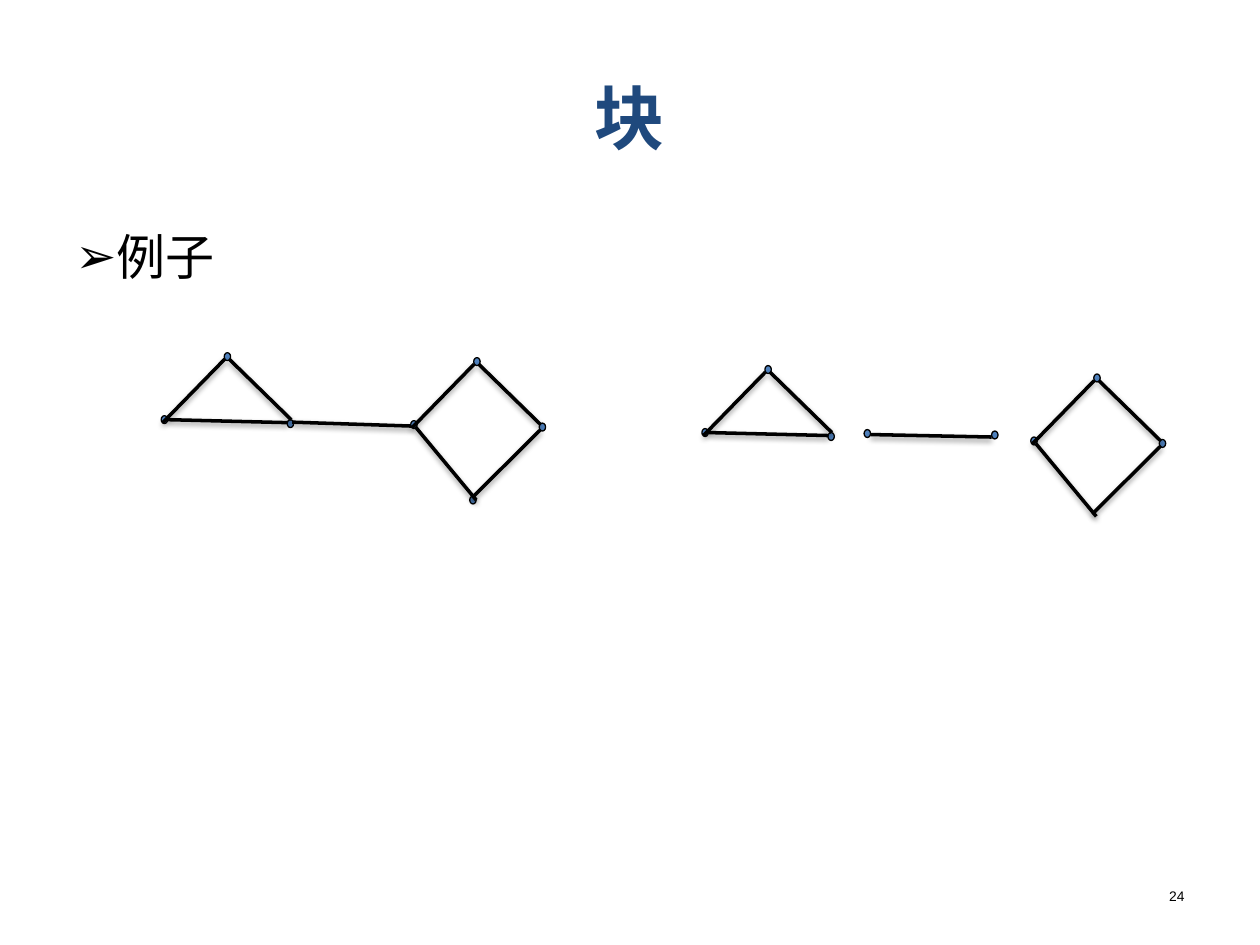
"""Build the slide showing a graph and its separate blocks."""
from lxml import etree
from pptx import Presentation
from pptx import util as u
from pptx.dml.color import RGBColor
from pptx.enum import shapes, text
from pptx.oxml import parse_xml
from pptx.oxml.ns import nsdecls, qn

SHADOW = (
    f'<a:effectLst {nsdecls("a")}>'
    '<a:outerShdw blurRad="40000" dist="20000" dir="5400000" rotWithShape="0">'
    '<a:srgbClr val="000000"><a:alpha val="38000"/></a:srgbClr>'
    '</a:outerShdw></a:effectLst>'
)


def color(target, value):
    target.rgb = RGBColor.from_string(value)


prs = Presentation()
prs.slide_width, prs.slide_height = u.Cm(25.4), u.Cm(19.05)
slide = prs.slides.add_slide(prs.slide_layouts[6])

middle, top = text.MSO_ANCHOR.MIDDLE, text.MSO_ANCHOR.TOP
left, center, right = text.PP_ALIGN.LEFT, text.PP_ALIGN.CENTER, text.PP_ALIGN.RIGHT
wordings = [
    ("块", (1.27, 0.76, 22.86, 3.18), 40, "1F497D", True, center, middle),
    ("例子", (1.27, 4.45, 22.86, 12.57), 28, "000000", False, left, top),
    ("24", (18.21, 17.78, 5.92, 0.89), 7.9, "000000", False, right, top),
]
for wording, place, size, ink, bold, align, anchor in wordings:
    frame = slide.shapes.add_textbox(*map(u.Cm, place)).text_frame
    frame.word_wrap = True
    frame.vertical_anchor = anchor
    frame.text = wording
    line = frame.paragraphs[0]
    line.alignment = align
    if align == left:
        properties = line._p.get_or_add_pPr()
        properties.set("marL", str(u.Cm(0.53)))
        properties.set("indent", str(u.Cm(-0.53)))
        etree.SubElement(properties, qn("a:buFont")).set("typeface", "Arial")
        etree.SubElement(properties, qn("a:buChar")).set("char", "➢")
    font = line.runs[0].font
    font.name, font.size, font.bold = "Arial", u.Pt(size), bold
    color(font.color, ink)

rising = (0.03, 1.41, 1.28, 0.13)
falling = (1.37, 0.13, 2.62, 1.35)
triangle_vertices = [(1.27, 0), (0, 1.27), (2.54, 1.35)]
triangle_edges = [rising, falling, (0.13, 1.35, 2.55, 1.41)]
diamond_vertices = [(1.27, 0), (0, 1.27), (2.59, 1.32)]
diamond_bottom = (1.19, 2.79)
diamond_edges = [rising, falling, (0.1, 1.4, 1.32, 2.87), (1.24, 2.82, 2.62, 1.45)]

blocks = [
    (3.25, 7.11, triangle_vertices, triangle_edges),
    (5.89, 8.51, [], [(0, 0, 2.44, 0.08)]),
    (8.28, 7.21, diamond_vertices + [diamond_bottom], diamond_edges),
    (14.15, 7.37, triangle_vertices, triangle_edges),
    (17.42, 8.66, [(0, 0), (2.57, 0.03)], [(0.13, 0.1, 2.57, 0.15)]),
    (20.78, 7.54, diamond_vertices, diamond_edges),
]
for x, y, vertices, edges in blocks:
    for dx, dy in vertices:
        vertex = slide.shapes.add_shape(
            shapes.MSO_SHAPE.OVAL, u.Cm(x + dx), u.Cm(y + dy), u.Cm(0.13), u.Cm(0.16))
        vertex.shadow.inherit = False
        vertex.fill.solid()
        color(vertex.fill.fore_color, "4F81BD")
        color(vertex.line.color, "000000")
        vertex.line.width = u.Pt(0.75)
    for x1, y1, x2, y2 in edges:
        edge = slide.shapes.add_connector(
            shapes.MSO_CONNECTOR.STRAIGHT,
            u.Cm(x + x1), u.Cm(y + y1), u.Cm(x + x2), u.Cm(y + y2))
        color(edge.line.color, "000000")
        edge.line.width = u.Pt(2)
        edge._element.spPr.append(parse_xml(SHADOW))

prs.save("out.pptx")
